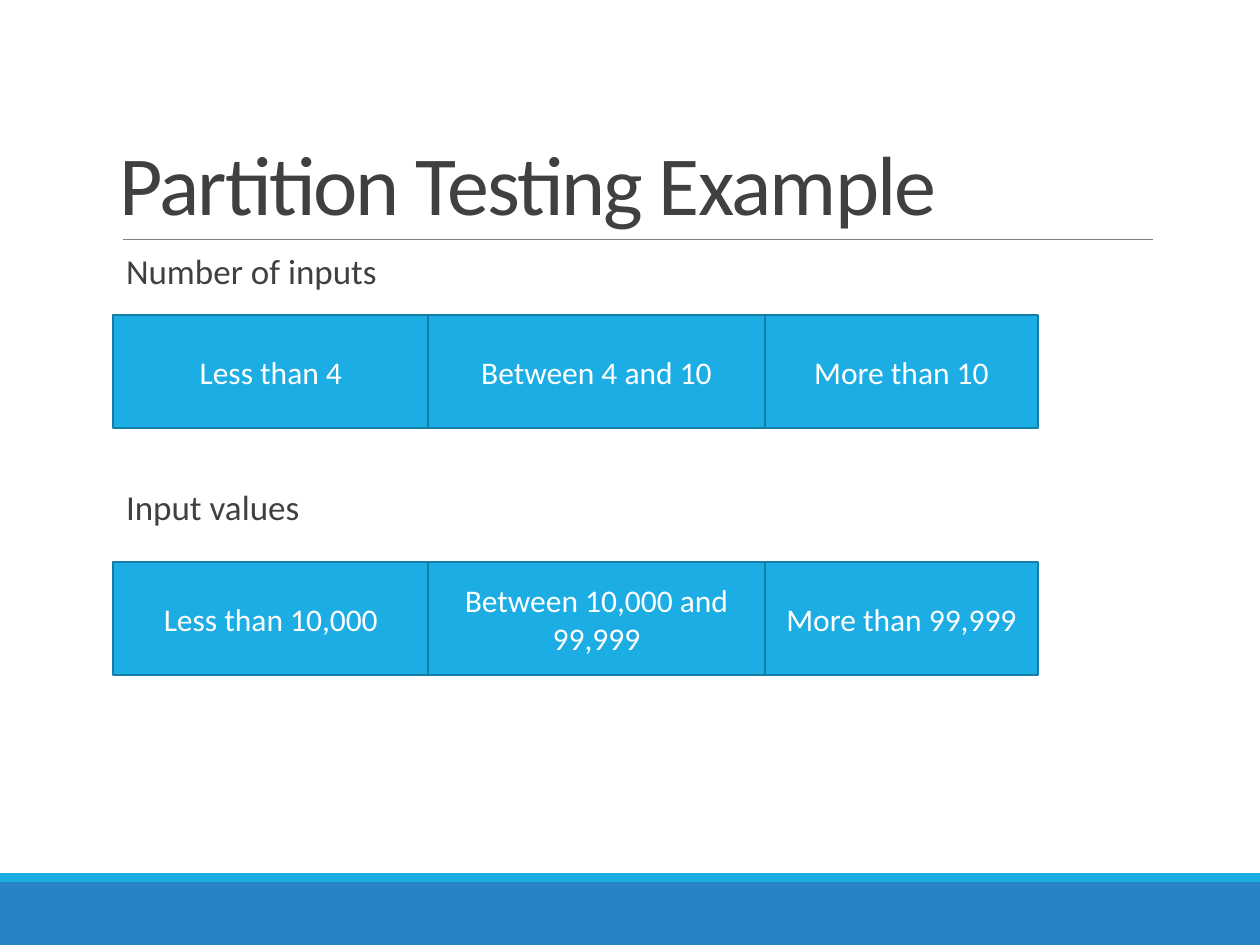
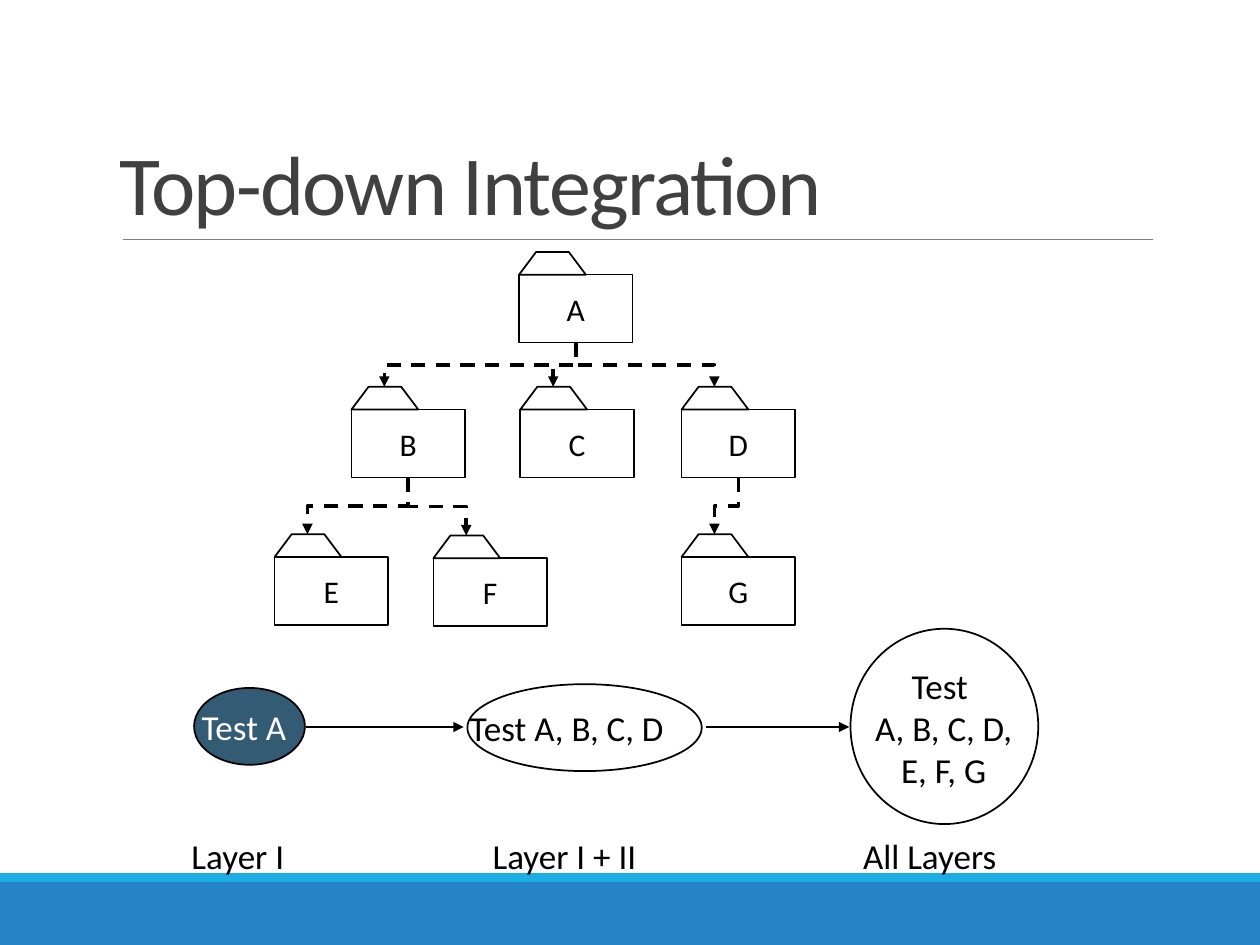
"""Build two slides on partition testing and top-down integration."""
from itertools import accumulate

from lxml import etree
from pptx import Presentation
from pptx.dml.color import RGBColor
from pptx.enum.dml import MSO_LINE
from pptx.enum.shapes import MSO_CONNECTOR, MSO_SHAPE
from pptx.enum.text import MSO_ANCHOR, MSO_AUTO_SIZE, PP_ALIGN
from pptx.oxml.ns import qn
from pptx.util import Inches, Pt

COLORS = {
    "band": "2683C6", "accent": "1CADE4", "cell_line": "147EA6", "rule": "808080",
    "text": "404040", "black": "000000", "white": "FFFFFF", "dark": "335B74",
}
FONT = "Calibri"


def color(name):
    return RGBColor.from_string(COLORS[name])


class SlideBuilder:
    """Hold the shared style and the current slide."""

    def __init__(self, presentation):
        self.presentation = presentation
        self.slide = None

    def new_slide(self, title):
        self.slide = self.presentation.slides.add_slide(self.presentation.slide_layouts[5])
        self.shape(MSO_SHAPE.RECTANGLE, 0, 7, 10, 0.5, "band")
        self.shape(MSO_SHAPE.RECTANGLE, 0, 6.93, 10, 0.07, "accent")
        self.line(0.98, 1.9, 9.15, 1.9, "rule", 0.5)
        placeholder = self.slide.shapes.title
        place = {"left": 0.9, "top": 0.31, "width": 8.25, "height": 1.59}
        for name, value in place.items():
            setattr(placeholder, name, Inches(value))
        self.set_text(placeholder, title, 48, "text", PP_ALIGN.LEFT, MSO_ANCHOR.BOTTOM, spacing=0.85)
        for run in placeholder.text_frame.paragraphs[0].runs:
            run.font._element.set("spc", "-100")

    def set_text(self, shape, text, size, ink, align=PP_ALIGN.CENTER,
                 anchor=MSO_ANCHOR.MIDDLE, margin=0.05, spacing=1.0):
        frame = shape.text_frame
        frame.text = text
        frame_format = {"word_wrap": True, "auto_size": MSO_AUTO_SIZE.NONE, "vertical_anchor": anchor}
        for side in ("left", "top", "right", "bottom"):
            frame_format[f"margin_{side}"] = Inches(margin)
        for name, value in frame_format.items():
            setattr(frame, name, value)
        for paragraph in frame.paragraphs:
            paragraph.alignment = align
            paragraph.line_spacing = spacing
            for run in paragraph.runs:
                for name, value in {"name": FONT, "size": Pt(size), "bold": False}.items():
                    setattr(run.font, name, value)
                run.font.color.rgb = color(ink)

    def label(self, left, top, width, height, text, size=20, ink="black", **options):
        box = self.slide.shapes.add_textbox(*map(Inches, (left, top, width, height)))
        self.set_text(box, text, size, ink, **options)

    def outline(self, shape, ink, weight):
        shape.line.color.rgb = color(ink)
        shape.line.width = Pt(weight)

    def shape(self, kind, left, top, width, height, fill=None, ink=None, weight=1.0):
        shape = self.slide.shapes.add_shape(kind, *map(Inches, (left, top, width, height)))
        shape.shadow.inherit = False
        if fill:
            shape.fill.solid()
            shape.fill.fore_color.rgb = color(fill)
        else:
            shape.fill.background()
        if ink:
            self.outline(shape, ink, weight)
        else:
            shape.line.fill.background()
        return shape

    def arrowhead(self, shape):
        etree.SubElement(shape.line._get_or_add_ln(), qn("a:tailEnd"), type="triangle")

    def line(self, x1, y1, x2, y2, ink="black", weight=1.0, arrow=False):
        connector = self.slide.shapes.add_connector(
            MSO_CONNECTOR.STRAIGHT, *map(Inches, (x1, y1, x2, y2)))
        self.outline(connector, ink, weight)
        if arrow:
            self.arrowhead(connector)
        etree.SubElement(connector._element.spPr, qn("a:effectLst"))

    def dashed_elbow(self, x1, y1, x2, y2):
        middle = (y1 + y2) / 2
        points = [(x1, middle), (x2, middle), (x2, y2)]
        builder = self.slide.shapes.build_freeform(Inches(x1), Inches(y1))
        builder.add_line_segments([(Inches(x), Inches(y)) for x, y in points], close=False)
        elbow = builder.convert_to_shape()
        elbow.shadow.inherit = False
        elbow.fill.background()
        self.outline(elbow, "black", 2)
        elbow.line.dash_style = MSO_LINE.DASH
        self.arrowhead(elbow)

    def partition_row(self, top, texts):
        widths = [2.5, 2.67, 2.17]
        for left, width, text in zip(accumulate(widths, initial=0.9), widths, texts):
            cell = self.shape(MSO_SHAPE.RECTANGLE, left, top, width, 0.9, "accent", "cell_line", 1.25)
            self.set_text(cell, text, 18, "white")

    def folder(self, name, left, top):
        body = self.shape(MSO_SHAPE.RECTANGLE, left, top + 0.18, 0.9, 0.54, "white", "black")
        self.set_text(body, name, 18, "black")
        tab = self.shape(MSO_SHAPE.TRAPEZOID, left, top, 0.53, 0.18, "white", "black")
        tab.adjustments[0] = 0.75


def partition_slide(builder):
    builder.new_slide("Partition Testing Example")
    sections = [
        (2.02, 2.5, "Number of inputs", ["Less than 4", "Between 4 and 10", "More than 10"]),
        (3.89, 4.46, "Input values",
         ["Less than 10,000", "Between 10,000 and 99,999", "More than 99,999"]),
    ]
    for label_top, row_top, heading, texts in sections:
        builder.label(1, label_top, 8.15, 0.35, heading, ink="text", align=PP_ALIGN.LEFT,
                      anchor=MSO_ANCHOR.TOP, margin=0, spacing=0.9)
        builder.partition_row(row_top, texts)


def integration_slide(builder):
    builder.new_slide("Top-down Integration")
    folders = {
        "A": (4.12, 2.0), "B": (2.79, 3.07), "C": (4.13, 3.07), "D": (5.41, 3.07),
        "E": (2.18, 4.24), "F": (3.44, 4.25), "G": (5.41, 4.24),
    }
    for parent, children in {"A": "BCD", "B": "EF", "D": "G"}.items():
        left, top = folders[parent]
        for child in children:
            child_left, child_top = folders[child]
            builder.dashed_elbow(left + 0.45, top + 0.72, child_left + 0.26, child_top)
    for name, (left, top) in folders.items():
        builder.folder(name, left, top)

    stages = [
        ((1.54, 5.46, 0.88, 0.61), "dark", (1.55, 5.55, 0.87, 0.43), "Test A", "white", PP_ALIGN.LEFT),
        ((3.71, 5.43, 1.86, 0.69), None, (3.68, 5.56, 1.92, 0.43), "Test A, B, C, D", "black",
         PP_ALIGN.LEFT),
        ((6.75, 4.99, 1.49, 1.55), None, (6.74, 5.22, 1.5, 1.1), "Test \nA, B, C, D,\nE, F, G",
         "black", PP_ALIGN.CENTER),
    ]
    for ellipse, fill, text_area, text, ink, align in stages:
        builder.shape(MSO_SHAPE.OVAL, *ellipse, fill, "black")
        builder.label(*text_area, text, ink=ink, align=align)
    for start, end in [(2.43, 3.68), (5.6, 6.74)]:
        builder.line(start, 5.77, end, 5.77, arrow=True)
    for left, width, text in [(1.47, 0.96, "Layer I"), (3.86, 1.43, "Layer I + II"),
                              (6.8, 1.33, "All Layers")]:
        builder.label(left, 6.57, width, 0.43, text, align=PP_ALIGN.LEFT, anchor=MSO_ANCHOR.TOP)


def main():
    presentation = Presentation()
    presentation.slide_width = Inches(10)
    presentation.slide_height = Inches(7.5)
    builder = SlideBuilder(presentation)
    partition_slide(builder)
    integration_slide(builder)
    presentation.save("out.pptx")


if __name__ == "__main__":
    main()
